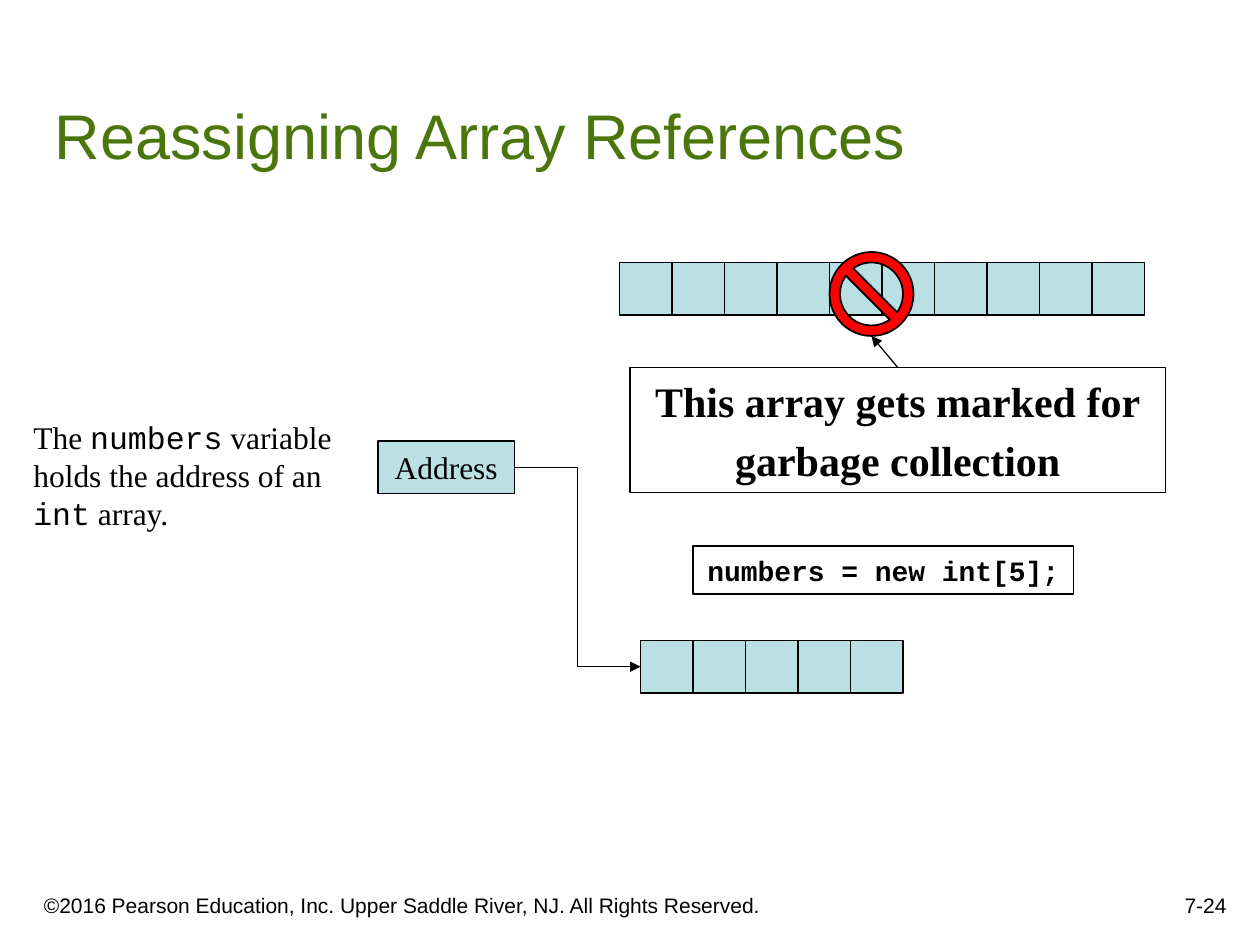
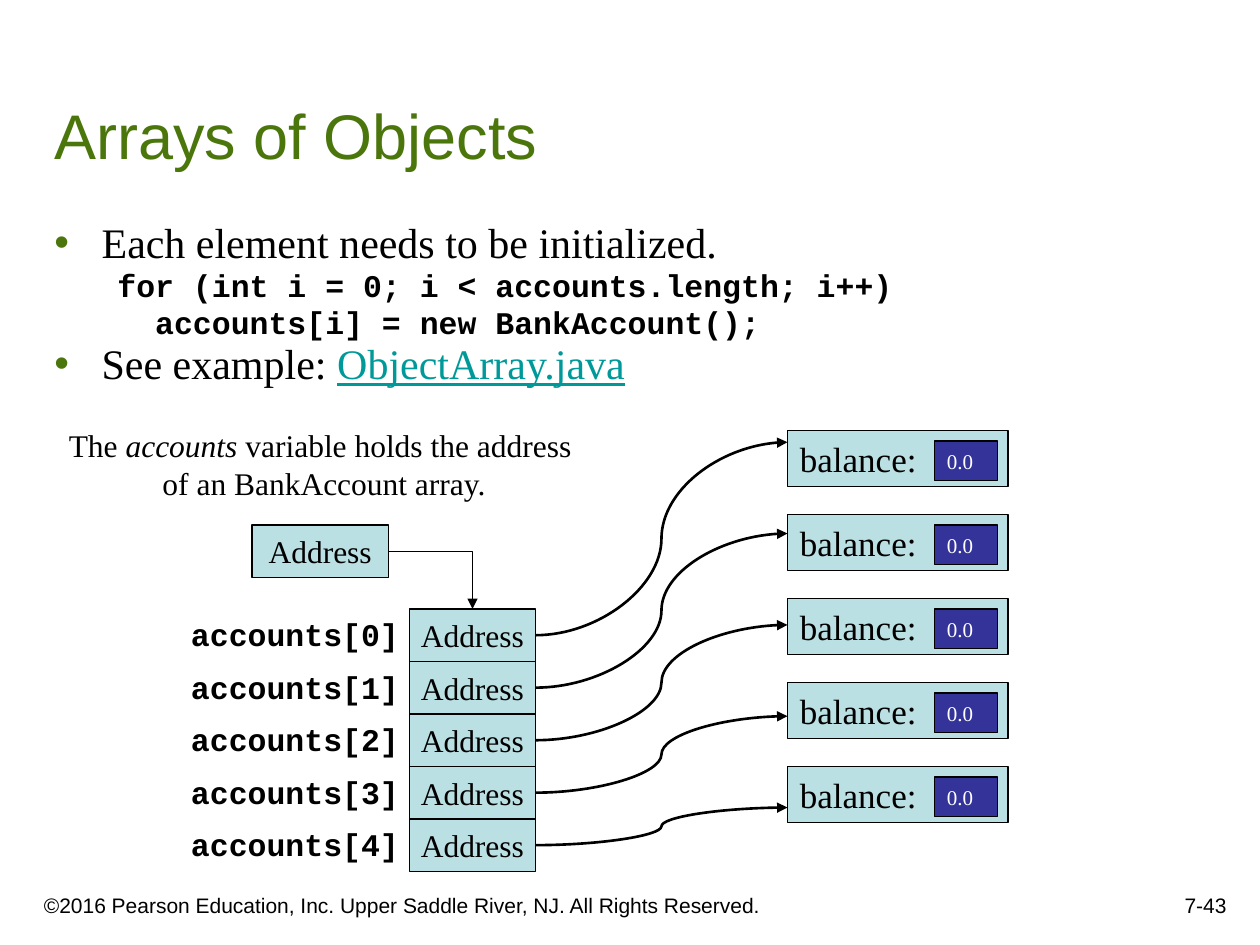
from lxml import etree
from pptx import Presentation
from pptx.dml.color import RGBColor
from pptx.enum.shapes import MSO_CONNECTOR, MSO_SHAPE
from pptx.enum.text import MSO_ANCHOR, PP_ALIGN
from pptx.oxml.ns import qn
from pptx.util import Pt

LEFT, CENTER, RIGHT = PP_ALIGN.LEFT, PP_ALIGN.CENTER, PP_ALIGN.RIGHT
TOP, MIDDLE, BOTTOM = MSO_ANCHOR.TOP, MSO_ANCHOR.MIDDLE, MSO_ANCHOR.BOTTOM
RECT, NO_SIGN = MSO_SHAPE.RECTANGLE, MSO_SHAPE.NO_SYMBOL
STRAIGHT, ELBOW, CURVE = MSO_CONNECTOR.STRAIGHT, MSO_CONNECTOR.ELBOW, MSO_CONNECTOR.CURVE

COLORS = {
    name: RGBColor.from_string(value)
    for name, value in {
        "title": "4B760B", "text": "000000", "cell": "BBE0E3", "value": "333399",
        "white": "FFFFFF", "link": "009999", "stop": "FF0000",
    }.items()
}

# Text formats
SERIF, MONO = "Times New Roman", "Courier New"
TITLE = {"name": "Arial", "size": Pt(36)}
FOOTER = {"name": "Arial", "size": Pt(12)}
BODY = {"name": SERIF, "size": Pt(24)}
STRONG = {**BODY, "bold": True}
NOTE = {"name": SERIF, "size": Pt(18)}
NOTE_ITALIC = {**NOTE, "italic": True}
NOTE_CODE = {"name": MONO, "size": Pt(18)}
CODE = {**NOTE_CODE, "bold": True}
STATEMENT = {**CODE, "size": Pt(16)}
FIELD = {"name": SERIF, "size": Pt(20)}
VALUE = {"name": SERIF, "size": Pt(12)}
LINK = {**BODY, "underline": True}

CELL = 30  # height of an array element


def add_box(slide, bounds, lines=(), fill=None, border=None, align=LEFT,
            anchor=MIDDLE, wrap=True, gap=0, color="text"):
    """Add a bordered box or plain text; each line is a list of (text, format)."""
    bounds = [Pt(length) for length in bounds]
    if border:
        box = slide.shapes.add_shape(RECT, *bounds)
        box.shadow.inherit = False
        box.line.color.rgb = COLORS["text"]
        box.line.width = Pt(border)
        if fill:
            box.fill.solid()
            box.fill.fore_color.rgb = COLORS[fill]
        else:
            box.fill.background()
    else:
        box = slide.shapes.add_textbox(*bounds)
    frame = box.text_frame
    frame.word_wrap = wrap
    frame.vertical_anchor = anchor
    for index, line in enumerate(lines):
        paragraph = frame.add_paragraph() if index else frame.paragraphs[0]
        paragraph.alignment = align
        if index:
            paragraph.space_before = Pt(gap)
        for text, text_format in line:
            run = paragraph.add_run()
            run.text = text
            run.font.color.rgb = COLORS["link" if text_format is LINK else color]
            for key, value in text_format.items():
                setattr(run.font, key, value)
    return box


def add_arrow(slide, kind, start, end, width=0.75):
    """Add a black connector with an arrowhead at its end."""
    arrow = slide.shapes.add_connector(kind, *[Pt(length) for length in (*start, *end)])
    arrow.line.color.rgb = COLORS["text"]
    arrow.line.width = Pt(width)
    etree.SubElement(arrow.line._get_or_add_ln(), qn("a:tailEnd"), type="triangle")
    etree.SubElement(arrow._element.spPr, qn("a:effectLst"))
    return arrow


prs = Presentation()
prs.slide_width, prs.slide_height = Pt(720), Pt(540)

# Title and footer of both slides
slides = []
for heading, number in [("Reassigning Array References", "7-24"), ("Arrays of Objects", "7-43")]:
    slide = prs.slides.add_slide(prs.slide_layouts[5])
    title = slide.shapes.title
    title.left, title.top, title.width, title.height = Pt(24), Pt(24), Pt(678), Pt(78)
    title.text_frame.text = heading
    title.text_frame.vertical_anchor = BOTTOM
    title_line = title.text_frame.paragraphs[0]
    title_line.alignment = LEFT
    title_line.font.color.rgb = COLORS["title"]
    for key, value in TITLE.items():
        setattr(title_line.font, key, value)
    add_box(slide, (18, 498, 438, 30), anchor=BOTTOM, lines=[
        [("©2016 Pearson Education, Inc. Upper Saddle River, NJ. All Rights Reserved.", FOOTER)]])
    add_box(slide, (558, 492, 150, 36), [[(number, FOOTER)]], align=RIGHT, anchor=BOTTOM)
    slides.append(slide)
reassigning, objects = slides

# Slide 1: old array of ten elements, new array of five
for left, top, count in [(354, 150, 10), (366, 366, 5)]:
    for index in range(count):
        add_box(reassigning, (left + index * CELL, top, CELL, CELL), fill="cell", border=0.75)

# The variable and its reference to the new array
add_box(reassigning, (216, 252, 78, CELL), [[("Address", NOTE)]], "cell", 0.75, CENTER, wrap=False)
add_box(reassigning, (12, 235.5, 185, 72), wrap=False, anchor=TOP, lines=[
    [("The ", NOTE), ("numbers", NOTE_CODE), (" variable", NOTE)],
    [("holds the address of an", NOTE)],
    [("int", NOTE_CODE), (" array.", NOTE)]])
add_arrow(reassigning, ELBOW, (294, 267), (366, 381))
add_box(reassigning, (396, 312, 217.5, 27.5), [[("numbers = new int[5];", STATEMENT)]],
        border=1, align=CENTER, wrap=False)

# Garbage collection callout and stop sign
callout = add_box(reassigning, (360, 210, 306, 71.5), border=1, align=CENTER, gap=4.8, lines=[
    [("This array gets marked for", STRONG)], [("garbage collection", STRONG)]])
stop_sign = reassigning.shapes.add_shape(NO_SIGN, Pt(474), Pt(144), Pt(48), Pt(48))
stop_sign.adjustments[0] = 0.125
stop_sign.shadow.inherit = False
stop_sign.fill.solid()
stop_sign.fill.fore_color.rgb = COLORS["stop"]
stop_sign.line.color.rgb = COLORS["text"]
stop_sign.line.width = Pt(1)
add_arrow(reassigning, STRAIGHT, (513, 210), (498, 192)).begin_connect(callout, 0)

# Slide 2: bullets and code
steps = add_box(objects, (24, 126, 653, 116), anchor=TOP, gap=3.8, lines=[
    [("Each element needs to be initialized.", BODY)],
    [("for (int i = 0; i < accounts.length; i++)", CODE)],
    [("  accounts[i] = new BankAccount();", CODE)],
    [("See example: ", BODY), ("ObjectArray.java", LINK)]])
steps.text_frame.margin_right = 0
for index, paragraph in enumerate(steps.text_frame.paragraphs):
    paragraph.line_spacing = 0.8
    properties = paragraph._p.get_or_add_pPr()
    bulleted = index in (0, 3)
    margin, indent = (27, -27) if bulleted else (58.5, -22.5)
    properties.set("marL", str(Pt(margin)))
    properties.set("indent", str(Pt(indent)))
    if bulleted:
        bullet_color = etree.SubElement(properties, qn("a:buClr"))
        etree.SubElement(bullet_color, qn("a:srgbClr"), val=str(COLORS["title"]))
        etree.SubElement(properties, qn("a:buFont"), typeface="Arial")
        etree.SubElement(properties, qn("a:buChar"), char="•")

# The variable and its reference to the array
add_box(objects, (28, 240, 310, 50.5), align=CENTER, anchor=TOP, wrap=False, lines=[
    [("The ", NOTE), ("accounts", NOTE_ITALIC), (" variable holds the address", NOTE)],
    [(" of an BankAccount array.", NOTE)]])
add_box(objects, (144, 300, 78, CELL), [[("Address", NOTE)]], "cell", 0.75, CENTER, wrap=False)
reference = add_arrow(objects, ELBOW, (222, 315), (270, 348))
reference._element.spPr.find(qn("a:prstGeom")).set("prst", "bentConnector2")

# Array elements, each pointing to an account object
for index in range(5):
    element_top = 348 + index * CELL
    account_top = 246 + index * 48
    add_box(objects, (78, element_top, 157, 29), [[(f"accounts[{index}]", CODE)]],
            align=RIGHT, anchor=TOP)
    add_box(objects, (234, element_top, 72, CELL), [[("Address", NOTE)]],
            "cell", 0.75, CENTER, wrap=False)
    add_box(objects, (450, account_top, 126, 32), [[("balance:", FIELD)]], "cell", 0.75)
    add_box(objects, (534, account_top + 6, 36, 22.5), [[("0.0", VALUE)]],
            "value", 0.75, color="white")
    add_arrow(objects, CURVE, (306, element_top + CELL / 2), (450, 252.7 + index * 52.2), 1.5)

prs.save("out.pptx")
